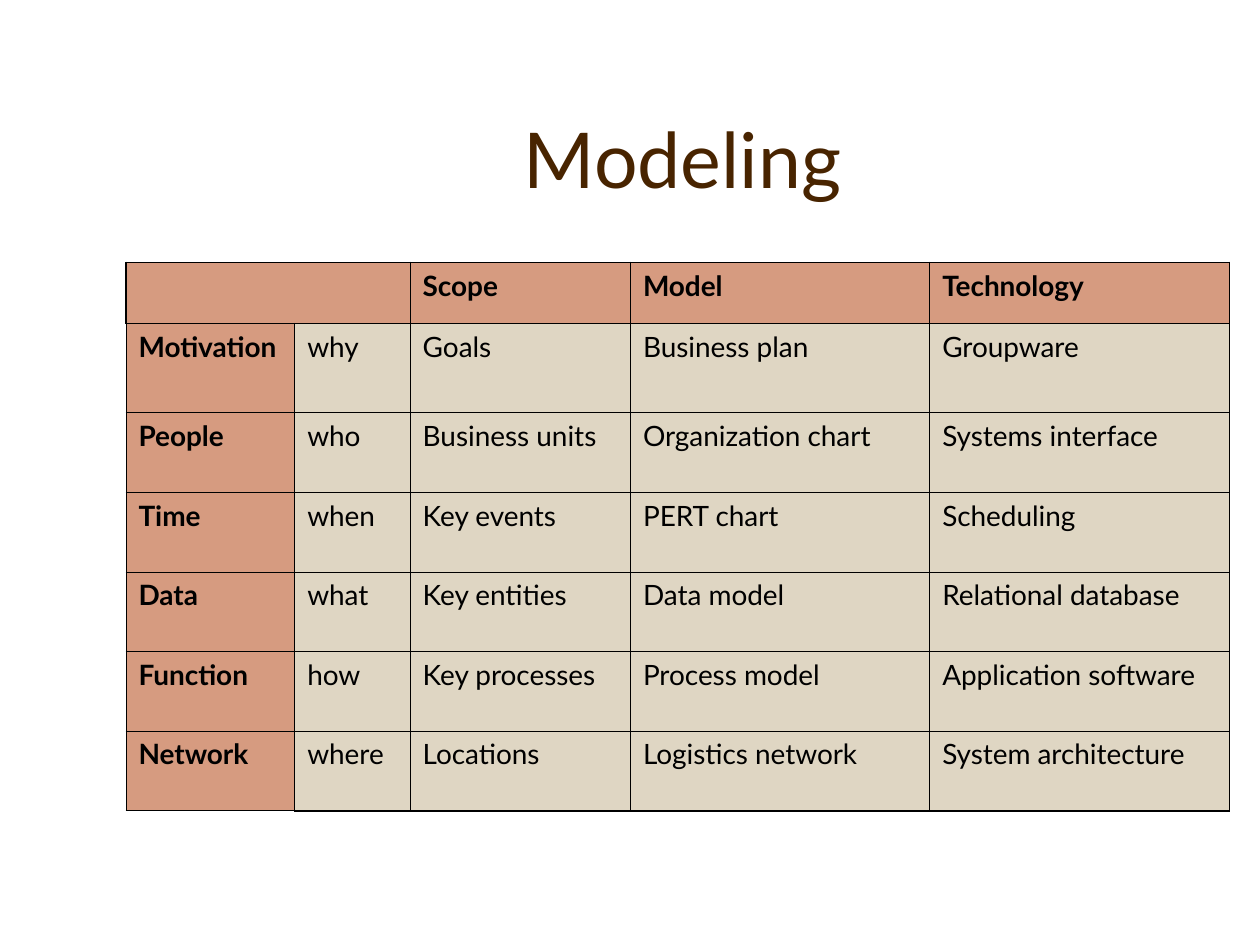
from lxml.etree import SubElement
from pptx import Presentation
from pptx.dml.color import RGBColor
from pptx.enum.text import MSO_ANCHOR, PP_ALIGN
from pptx.oxml.ns import qn
from pptx.util import Pt

COLORS = {"title": "482400", "heading": "D69B80", "body": "DFD6C3", "ink": "000000"}
FONT = "Lato"
THIN, THICK = 0.45, 1.08
COLUMN_WIDTHS = [96.4, 66, 125.9, 171, 171.3]
ROW_HEIGHTS = [34.7, 51.1] + [45.5] * 5
FRAMEWORK = [
    ["", "", "Scope", "Model", "Technology"],
    ["Motivation", "why", "Goals", "Business plan", "Groupware"],
    ["People", "who", "Business units", "Organization chart", "Systems interface"],
    ["Time", "when", "Key events", "PERT chart", "Scheduling"],
    ["Data", "what", "Key entities", "Data model", "Relational database"],
    ["Function", "how", "Key processes", "Process model", "Application software"],
    ["Network", "where", "Locations", "Logistics network", "System architecture"],
]


def add_run(paragraph, text, size, color, bold=False):
    run = paragraph.add_run()
    run.text = text
    run.font.name = FONT
    run.font.size = Pt(size)
    run.font.bold = bold
    run.font.color.rgb = RGBColor.from_string(COLORS[color])


def add_borders(cell, widths):
    """Draw left, right, top and bottom borders; a width of 0 hides one."""
    properties = cell._tc.get_or_add_tcPr()
    for position, (side, width) in enumerate(zip("LRTB", widths)):
        line = SubElement(properties, qn(f"a:ln{side}"), w=str(int(Pt(width))))
        if width:
            fill = SubElement(line, qn("a:solidFill"))
            SubElement(fill, qn("a:srgbClr"), val=COLORS["ink"])
        else:
            SubElement(line, qn("a:noFill"))
        properties.insert(position, line)


prs = Presentation()
prs.slide_width, prs.slide_height = Pt(720), Pt(540)
slide = prs.slides.add_slide(prs.slide_layouts[5])

title = slide.shapes.title
title.left, title.top, title.width, title.height = Pt(84), Pt(30), Pt(612), Pt(90)
title.text_frame.vertical_anchor = MSO_ANCHOR.BOTTOM
heading = title.text_frame.paragraphs[0]
heading.alignment = PP_ALIGN.CENTER
add_run(heading, "Modeling", 44, "title")

table = slide.shapes.add_table(
    len(ROW_HEIGHTS), len(COLUMN_WIDTHS), Pt(72), Pt(150),
    Pt(sum(COLUMN_WIDTHS)), Pt(sum(ROW_HEIGHTS))).table
for column, width in zip(table.columns, COLUMN_WIDTHS):
    column.width = Pt(width)
for row, height in zip(table.rows, ROW_HEIGHTS):
    row.height = Pt(height)

last_row, last_column = len(ROW_HEIGHTS) - 1, len(COLUMN_WIDTHS) - 1
for r, entries in enumerate(FRAMEWORK):
    for c, entry in enumerate(entries):
        cell = table.cell(r, c)
        is_heading = r == 0 or c == 0
        cell.fill.solid()
        cell.fill.fore_color.rgb = RGBColor.from_string(
            COLORS["heading" if is_heading else "body"])

        # The two blank corner cells read as one, so no line parts them.
        left = THICK if r == c == 0 else 0 if (r, c) == (0, 1) else THIN
        right = THICK if c == last_column else 0 if r == c == 0 else THIN
        top = THICK if r == 0 else THIN
        bottom = THICK if r == last_row and c > 0 else THIN
        add_borders(cell, [left, right, top, bottom])

        if entry:
            paragraph = cell.text_frame.paragraphs[0]
            paragraph.space_before = Pt(4)
            add_run(paragraph, entry, 16, "ink", bold=is_heading)

prs.save("out.pptx")
